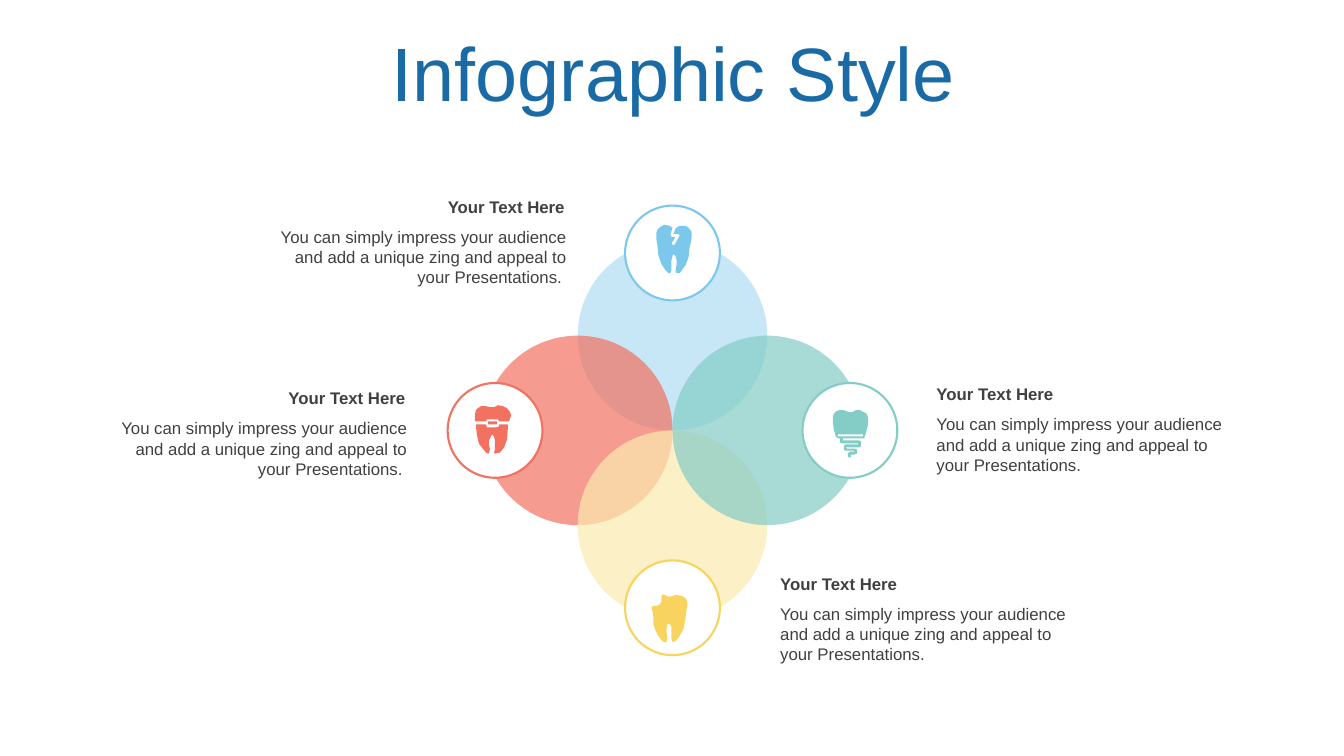
import pptx
import pptx.dml.color
import pptx.enum.shapes
import pptx.enum.text
import pptx.oxml.ns
import pptx.util
from lxml import etree

Inches = pptx.util.Inches
Pt = pptx.util.Pt
RGBColor = pptx.dml.color.RGBColor
Align = pptx.enum.text.PP_ALIGN
qn = pptx.oxml.ns.qn

NAVY = RGBColor(0x1A, 0x6B, 0xA5)
GREY = RGBColor(0x40, 0x40, 0x40)
WHITE = RGBColor(0xFF, 0xFF, 0xFF)
PALE = RGBColor(0xB0, 0xDE, 0xF4)
BLUE = RGBColor(0x7C, 0xC8, 0xEC)
RED = RGBColor(0xF2, 0x71, 0x61)
CREAM = RGBColor(0xFC, 0xEA, 0xAE)
GOLD = RGBColor(0xF8, 0xD4, 0x5E)
TEAL = RGBColor(0x84, 0xCC, 0xC6)

HEAD = "Your Text Here"
BODY = ("You can simply impress your audience and add a unique zing "
        "and appeal to your Presentations.")

CRACKED = [[
    (20, 12), (17, 17), (16, 18), (17, 20), (19, 20), (24, 11), (24, 10), (22, 9),
    (18, 9), (20, 4), (22, 2), (25, 1), (30, 1), (33, 3), (36, 7), (36, 12), (35, 19),
    (34, 22), (33, 32), (30, 40), (25, 47), (24, 48), (21, 48), (20, 46), (21, 40),
    (21, 35), (20, 31), (18, 29), (17, 31), (16, 35), (16, 44), (15, 48), (13, 48),
    (10, 45), (6, 39), (3, 30), (2, 20), (1, 14), (1, 8), (2, 5), (5, 2), (9, 0),
    (14, 1), (17, 3), (16, 6), (15, 10), (16, 12)]]
BITTEN = [[
    (36, 11), (35, 16), (34, 24), (32, 35), (27, 44), (24, 47), (21, 48), (20, 44),
    (20, 33), (19, 31), (18, 30), (16, 30), (15, 37), (16, 45), (15, 48), (13, 48),
    (11, 47), (7, 42), (4, 36), (2, 30), (2, 22), (1, 17), (0, 14), (2, 12), (5, 12),
    (8, 11), (10, 8), (10, 3), (11, 1), (13, 1), (17, 3), (19, 3), (25, 1), (32, 3),
    (35, 6)]]
IMPLANT = [
    [(10, 29), (10, 31), (26, 31), (28, 32), (28, 36), (27, 38), (25, 38), (13, 38),
     (14, 39), (22, 39), (24, 40), (24, 44), (21, 45), (18, 45), (18, 47), (17, 48),
     (15, 47), (15, 44), (17, 42), (22, 42), (20, 41), (12, 41), (11, 40), (11, 37),
     (12, 35), (25, 35), (25, 34), (9, 34), (7, 33), (7, 29), (5, 29), (3, 27), (1, 20),
     (0, 12), (0, 7), (2, 3), (6, 1), (11, 1), (16, 3), (19, 3), (23, 1), (27, 1),
     (33, 4), (35, 8), (35, 15), (33, 23), (31, 29)],
    [(30, 25), (5, 25), (5, 27), (7, 27), (28, 27), (30, 27)]]
BRACES = [
    [(24, 19), (33, 19), (32, 34), (29, 42), (25, 47), (20, 48), (19, 47), (20, 44),
     (20, 35), (19, 31), (17, 29), (16, 31), (14, 35), (14, 39), (15, 44), (14, 48),
     (11, 47), (4, 38), (2, 29), (1, 19), (11, 19), (12, 22), (15, 22), (21, 22), (24, 21)],
    [(13, 16), (22, 16), (22, 19), (13, 19)],
    [(11, 1), (16, 2), (19, 2), (23, 0), (28, 1), (32, 3), (35, 7), (36, 10), (34, 16),
     (24, 16), (23, 14), (21, 14), (14, 14), (12, 14), (11, 16), (0, 16), (0, 10), (1, 5),
     (3, 3), (6, 1)]]


def write(frame, text, *, size=12, color=GREY, bold=False, align=Align.LEFT, space=None):
    frame.word_wrap = True
    frame.auto_size = pptx.enum.text.MSO_AUTO_SIZE.NONE
    line = frame.paragraphs[0]
    line.text = text
    line.alignment = align
    line.line_spacing = space
    line.font.name = "Arial"
    line.font.size = Pt(size)
    line.font.bold = bold
    line.font.color.rgb = color


class Page:
    """Holds the slide and draws its kinds of element."""

    def __init__(self, deck):
        self.slide = deck.slides.add_slide(deck.slide_layouts[5])
        self.shapes = self.slide.shapes

    def title(self, text):
        box = self.shapes.title
        box.left, box.top = Inches(0.35), Inches(0.37)
        box.width, box.height = Inches(12.66), Inches(0.79)
        box.text_frame.vertical_anchor = pptx.enum.text.MSO_ANCHOR.MIDDLE
        write(box.text_frame, text, size=54, color=NAVY, align=Align.CENTER, space=0.9)

    def disc(self, x, y, size, fill, edge=None, alpha=None):
        shape = self.shapes.add_shape(
            pptx.enum.shapes.MSO_SHAPE.OVAL, Inches(x - size / 2), Inches(y - size / 2),
            Inches(size), Inches(size))
        self.paint(shape, fill)
        if edge:
            shape.line.color.rgb = edge
            shape.line.width = Pt(1.5)
        if alpha:
            tint = shape.element.spPr.find(".//" + qn("a:srgbClr"))
            etree.SubElement(tint, qn("a:alpha")).set("val", str(alpha * 1000))

    def paint(self, shape, fill):
        shape.shadow.inherit = False
        shape.fill.solid()
        shape.fill.fore_color.rgb = fill
        shape.line.fill.background()

    def icon(self, x, y, loops, fill):
        pen = self.shapes.build_freeform(*loops[0][0], scale=Inches(0.01))
        pen.add_line_segments(loops[0][1:], close=True)
        for loop in loops[1:]:
            pen.move_to(*loop[0])
            pen.add_line_segments(loop[1:], close=True)
        self.paint(pen.convert_to_shape(Inches(x), Inches(y)), fill)

    def label(self, x, y, width, text, **style):
        box = self.shapes.add_textbox(Inches(x), Inches(y), Inches(width), Inches(0.3))
        write(box.text_frame, text, **style)

    def note(self, x, y, width, align):
        tail = " " if align == Align.RIGHT else ""
        self.label(x, y + 0.3, width, BODY + tail, align=align)
        self.label(x, y, width - 0.02, HEAD, bold=True, align=align)


def main():
    deck = pptx.Presentation()
    deck.slide_width, deck.slide_height = Inches(13.33), Inches(7.5)
    page = Page(deck)
    page.title("Infographic Style")

    mid_x, mid_y = 6.67, 4.27
    petals = [
        (0, -1, PALE, BLUE, CRACKED, (6.5, 2.23), (2.59, 1.9, 3.13, Align.RIGHT)),
        (-1, 0, RED, RED, BRACES, (4.71, 4.02), (0.98, 3.8, 3.16, Align.RIGHT)),
        (0, 1, CREAM, GOLD, BITTEN, (6.46, 5.89), (7.64, 5.64, 3.13, Align.LEFT)),
        (1, 0, TEAL, TEAL, IMPLANT, (8.26, 4.06), (9.19, 3.76, 3.16, Align.LEFT)),
    ]
    for dx, dy, fill, *rest in petals:
        page.disc(mid_x + 0.94 * dx, mid_y + 0.94 * dy, 1.88, fill, alpha=70)
    for dx, dy, fill, edge, loops, spot, place in petals:
        page.disc(mid_x + 1.76 * dx, mid_y + 1.76 * dy, 0.94, WHITE, edge=edge)
        page.icon(*spot, loops, edge)
        page.note(*place)
    deck.save("out.pptx")


if __name__ == "__main__":
    main()
